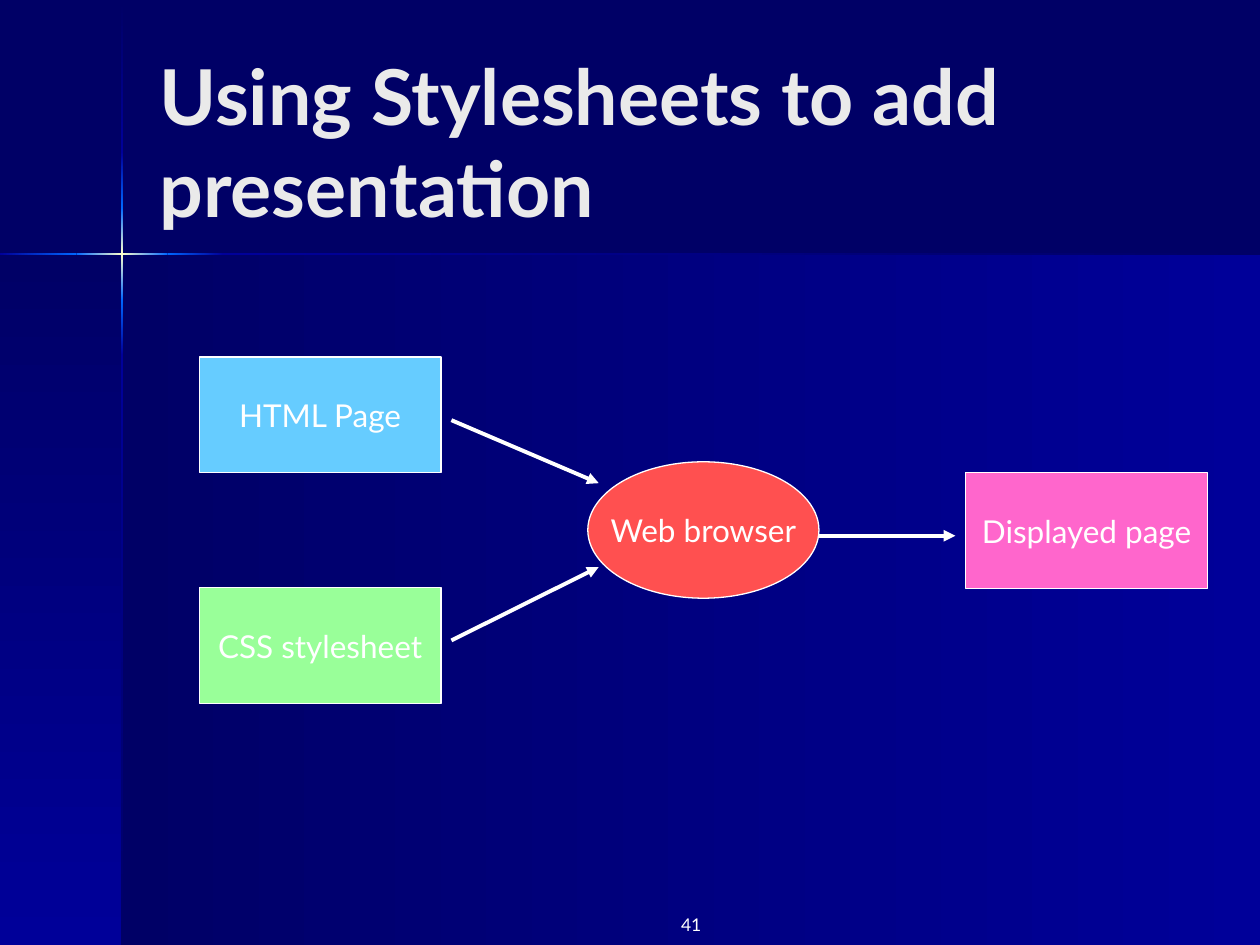
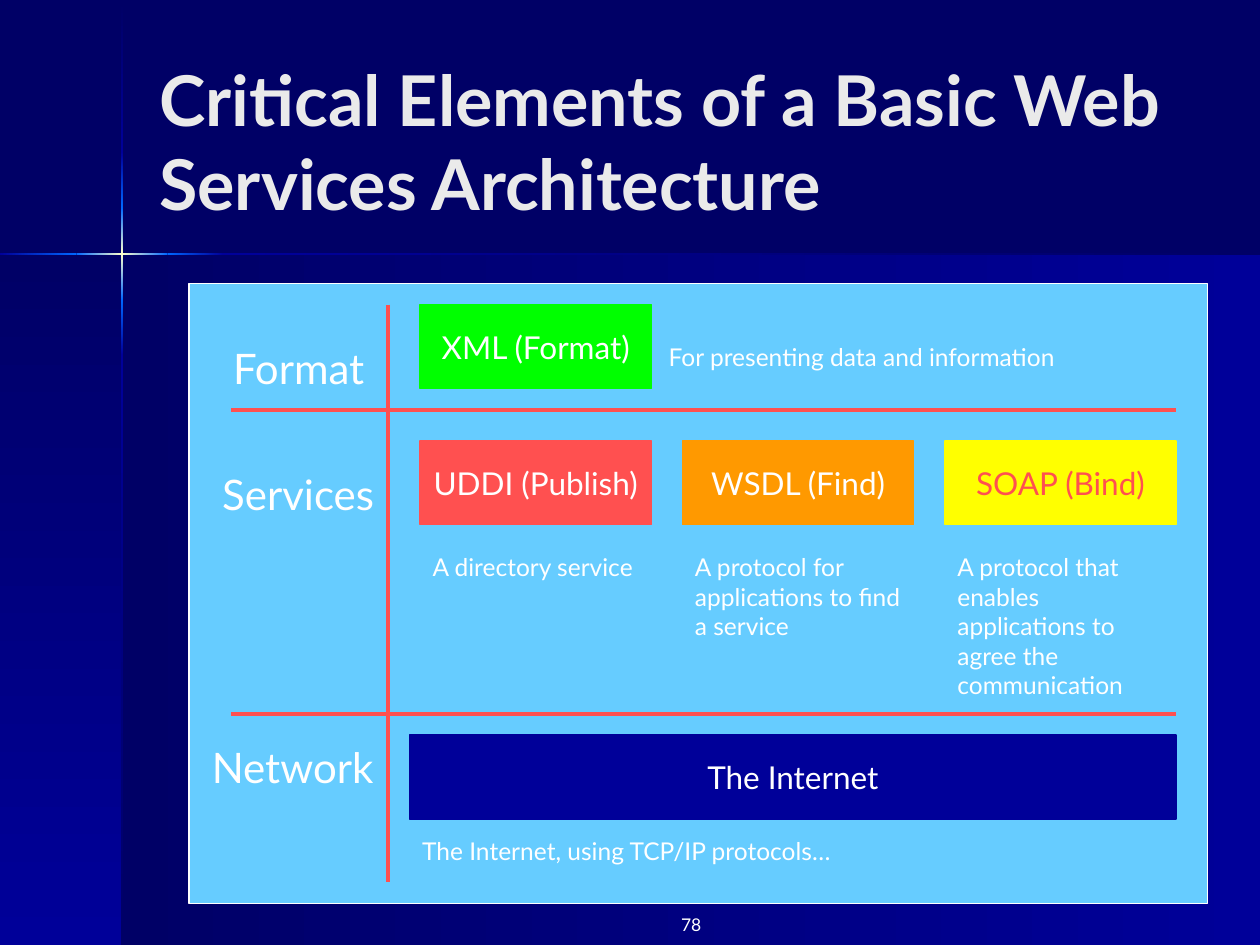
from dataclasses import dataclass
from itertools import pairwise

from lxml import etree
from pptx import Presentation
from pptx.dml.color import RGBColor
from pptx.enum.shapes import MSO_CONNECTOR, MSO_SHAPE
from pptx.enum.text import MSO_ANCHOR, MSO_AUTO_SIZE, PP_ALIGN
from pptx.oxml.ns import qn
from pptx.util import Cm, Pt

RECT, OVAL = MSO_SHAPE.RECTANGLE, MSO_SHAPE.OVAL
STRAIGHT = MSO_CONNECTOR.STRAIGHT
LEFT, CENTER, RIGHT = PP_ALIGN.LEFT, PP_ALIGN.CENTER, PP_ALIGN.RIGHT
TOP, MIDDLE = MSO_ANCHOR.TOP, MSO_ANCHOR.MIDDLE
FIXED = MSO_AUTO_SIZE.NONE

FONT = "Lato"
COLORS = {
    "night": "000066", "navy": "000099", "blue": "0066FF", "cream": "FFFFCC",
    "title": "EAEAEA", "white": "FFFFFF", "sky": "66CCFF", "mint": "99FF99",
    "red": "FF5050", "pink": "FF66CC", "green": "00FF00", "orange": "FF9900",
    "yellow": "FFFF00",
}
WIDE, HIGH = 25.4, 19.05
ACROSS, DOWN = 0, 90

# The two light beams cross at this point and share one run of colours.
CROSS_X, CROSS_Y, BEAM = 2.44, 5.1, 0.05
RAMPS = [
    ("night", "navy"), ("navy", "blue"), ("blue", "cream", "blue"),
    ("blue", "navy"), ("navy", "night"),
]
BEAM_XS = [0, 1.54, 3.38, 4.5, WIDE]
BEAM_YS = [0.03, 3.07, 4.19, 6.05, 7.16, HIGH]

COL_X, COL_STEP, COL_W, BOX_H = 8.47, 5.29, 4.66, 1.69


@dataclass
class Area:
    """Place and size in centimetres."""
    x: float
    y: float
    w: float
    h: float

    def cm(self) -> tuple:
        return Cm(self.x), Cm(self.y), Cm(self.w), Cm(self.h)


@dataclass
class Node:
    text: str
    area: Area
    fill: str
    line: str = "white"
    ink: str = "white"
    kind: int = RECT


@dataclass
class Note:
    text: str
    area: Area
    size: int = 14
    before: int = 0
    align: int = LEFT


@dataclass
class Line:
    x1: float
    y1: float
    x2: float
    y2: float
    color: str = "red"
    arrow: bool = False


def rgb(name: str) -> RGBColor:
    return RGBColor.from_string(COLORS[name])


def write(frame, text: str, *, size: int, color: str = "white",
          bold: bool = False, align: int = LEFT, anchor: int = TOP,
          wrap: bool = True, before: int = 0) -> None:
    frame.auto_size = FIXED
    frame.word_wrap = wrap
    frame.vertical_anchor = anchor
    par = frame.paragraphs[0]
    par.alignment = align
    par.space_before = Pt(before)
    run = par.add_run()
    run.text = text
    font = run.font
    font.name, font.size, font.bold = FONT, Pt(size), bold
    font.color.rgb = rgb(color)


def add_node(slide, node: Node) -> None:
    shape = slide.shapes.add_shape(node.kind, *node.area.cm())
    shape.shadow.inherit = False
    shape.fill.solid()
    shape.fill.fore_color.rgb = rgb(node.fill)
    shape.line.color.rgb = rgb(node.line)
    shape.line.width = Pt(0.75)
    if node.text:
        write(shape.text_frame, node.text, size=18, color=node.ink,
              align=CENTER, anchor=MIDDLE, wrap=False)


def add_note(slide, note: Note) -> None:
    box = slide.shapes.add_textbox(*note.area.cm())
    write(box.text_frame, note.text, size=note.size, align=note.align,
          before=note.before)


def add_line(slide, line: Line) -> None:
    ends = (Cm(v) for v in (line.x1, line.y1, line.x2, line.y2))
    link = slide.shapes.add_connector(STRAIGHT, *ends)
    link.line.color.rgb = rgb(line.color)
    link.line.width = Pt(2.25)
    props = link.element.spPr
    if line.arrow:
        etree.SubElement(props.find(qn("a:ln")), qn("a:tailEnd"),
                         type="triangle")
    etree.SubElement(props, qn("a:effectLst"))


def add_blend(slide, area: Area, ramp: tuple, turn: int):
    """Add a borderless rectangle with evenly spaced gradient stops."""
    shape = slide.shapes.add_shape(RECT, *area.cm())
    shape.shadow.inherit = False
    shape.line.fill.background()
    shape.fill.gradient()
    grad = shape.element.spPr.find(qn("a:gradFill"))
    grad.find(qn("a:lin")).set("ang", str(turn * 60000))
    stops = grad.find(qn("a:gsLst"))
    for old in list(stops):
        stops.remove(old)
    for i, name in enumerate(ramp):
        pos = str(i * 100000 // (len(ramp) - 1))
        stop = etree.SubElement(stops, qn("a:gs"), pos=pos)
        etree.SubElement(stop, qn("a:srgbClr"), val=COLORS[name])
    return shape


def dress(deck, layout, slide) -> None:
    """Set the background, title place and light beams of the layout."""
    back = deck.slide_master.background.fill
    back.solid()
    back.fore_color.rgb = rgb("night")
    for holder in list(layout.placeholders):
        if holder.placeholder_format.idx:
            holder.element.getparent().remove(holder.element)
        else:
            area = Area(2.96, 0.85, 20.96, 3.98)
            holder.left, holder.top, holder.width, holder.height = area.cm()

    edge_x, edge_y = CROSS_X + BEAM / 2, CROSS_Y + BEAM / 2
    blends = [
        (Area(edge_x, edge_y, WIDE - edge_x, HIGH - edge_y), RAMPS[0], ACROSS),
        (Area(0, edge_y, edge_x, HIGH - edge_y), RAMPS[0], DOWN),
    ]
    for (a, b), ramp in zip(pairwise(BEAM_YS), RAMPS):
        blends.append((Area(CROSS_X, a, BEAM, b - a), ramp, DOWN))
    for (a, b), ramp in zip(pairwise(BEAM_XS), RAMPS[1:]):
        blends.append((Area(a, CROSS_Y, b - a, BEAM), ramp, ACROSS))
    shapes = [add_blend(slide, *blend) for blend in blends]
    for shape in shapes:
        layout.shapes.element.append(shape.element)


def begin(slide, title: str, size: int, page: str) -> None:
    write(slide.shapes.title.text_frame, title, size=size, color="title",
          bold=True, anchor=MIDDLE)
    add_note(slide, Note(page, Area(12.7, 18.31, 1.69, 0.61), 10,
                         align=RIGHT))


def draw_flow(slide) -> None:
    begin(slide, "Using Stylesheets to add presentation", 44, "41")
    wide, high = 4.87, 2.33
    for node in (
        Node("HTML Page", Area(4.02, 7.2, wide, high), "sky"),
        Node("CSS stylesheet", Area(4.02, 11.85, wide, high), "mint"),
        Node("Web browser", Area(11.85, 9.31, 4.66, 2.75), "red", kind=OVAL),
        Node("Displayed page", Area(19.47, 9.53, wide, high), "pink"),
    ):
        add_node(slide, node)
    for ends in (
        (9.1, 8.47, 12.07, 9.74),
        (9.1, 12.91, 12.07, 11.43),
        (16.51, 10.8, 19.26, 10.8),
    ):
        add_line(slide, Line(*ends, color="white", arrow=True))


def draw_stack(slide) -> None:
    begin(slide, "Critical Elements of a Basic Web Services Architecture",
          40, "78")
    add_node(slide, Node("", Area(3.81, 5.72, 20.53, 12.49), "sky"))
    for y in (8.26, 14.39):
        add_line(slide, Line(4.66, y, 23.71, y))
    add_line(slide, Line(7.83, 6.14, 7.83, 17.78))

    for text, area in (
        ("Format", Area(4.45, 6.77, 3.6, 1.27)),
        ("Services", Area(4.23, 9.31, 3.6, 2.29)),
        ("Network", Area(4.02, 14.82, 4.02, 1.27)),
    ):
        add_note(slide, Note(text, area, 24, before=15))

    add_node(slide, Node("XML (Format)", Area(COL_X, 6.14, COL_W, BOX_H),
                         "green", "green"))
    add_note(slide, Note("For presenting data and information",
                         Area(13.23, 6.77, 8.99, 0.86)))

    for i, (name, role, fill, ink) in enumerate((
        ("UDDI (Publish)", "A directory service", "red", "white"),
        ("WSDL (Find)", "A protocol for applications to find a service",
         "orange", "white"),
        ("SOAP (Bind)", "A protocol that enables applications to agree "
         "the communication", "yellow", "red"),
    )):
        x = COL_X + i * COL_STEP
        add_node(slide, Node(name, Area(x, 8.89, COL_W, BOX_H), fill, fill,
                             ink))
        add_note(slide, Note(role, Area(x, 11.01, COL_W, 3.23)))

    add_node(slide, Node("The Internet", Area(8.26, 14.82, 15.45, BOX_H),
                         "navy", "navy"))
    add_note(slide, Note("The Internet, using TCP/IP protocols…",
                         Area(8.26, 16.72, 15.45, 0.86)))


def main() -> None:
    deck = Presentation()
    deck.slide_width, deck.slide_height = Cm(WIDE), Cm(HIGH)
    layout = deck.slide_layouts.get_by_name("Title Only")
    flow, stack = (deck.slides.add_slide(layout) for _ in range(2))
    dress(deck, layout, flow)
    draw_flow(flow)
    draw_stack(stack)
    deck.save("out.pptx")


if __name__ == "__main__":
    main()
